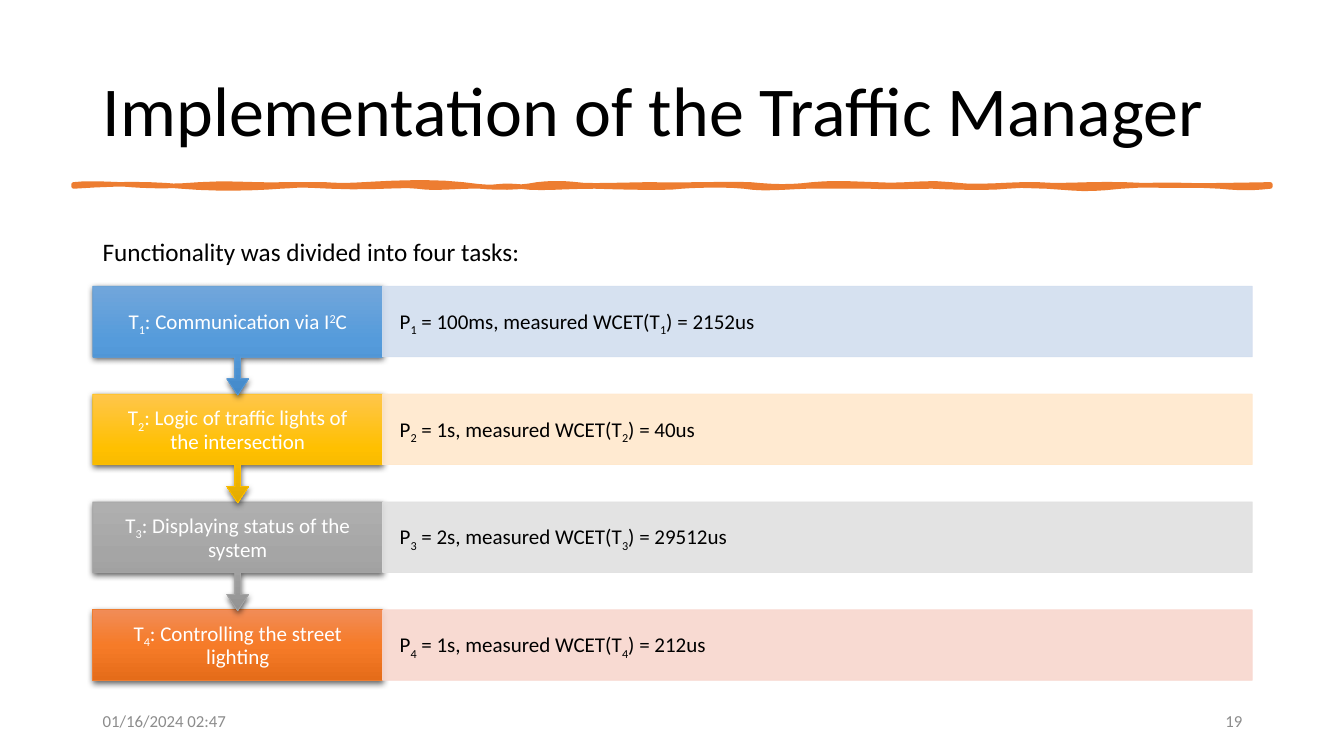
from copy import deepcopy
from pptx import Presentation
from pptx.dml.color import RGBColor
from pptx.enum.shapes import MSO_SHAPE as Shape
from pptx.enum.text import MSO_ANCHOR as Anchor, MSO_AUTO_SIZE as Fit, PP_ALIGN as Align
from pptx.oxml import parse_xml
from pptx.oxml.ns import nsdecls, qn
from pptx.util import Inches, Pt

# Content: "|_" starts a subscript, "|^" a superscript, "|" ends it
TITLE = "Implementation of the Traffic Manager"
INTRO = "Functionality was divided into four tasks:"
STAMP, PAGE = "01/16/2024 02:47", "19"
TASKS = [
    ("T|_1|: Communication via I|^2|C", "P|_1| = 100ms, measured WCET(T|_1|) = 2152us"),
    ("T|_2|: Logic of traffic lights of the intersection",
     "P|_2| = 1s, measured WCET(T|_2|) = 40us"),
    ("T|_3|: Displaying status of the system", "P|_3| = 2s, measured WCET(T|_3|) = 29512us"),
    ("T|_4|: Controlling the street lighting", "P|_4| = 1s, measured WCET(T|_4|) = 212us"),
]

# Colours
RGB = RGBColor.from_string
BLACK, WHITE, GREY, ORANGE = map(RGB, ("000000", "FFFFFF", "8C8C8C", "ED7D31"))
# Per task: three gradient stops, outline, pale bar
TONES = [tuple(map(RGB, row.split())) for row in (
    "71A6DB 559BDB 448ACA 5B9BD5 D2DEEF",
    "FFC64B FFC000 E3AB00 FFC000 FFE8CC",
    "AFAFAF A5A5A5 939393 A5A5A5 E1E1E1",
    "F18C57 F67B28 E56C19 ED7D31 F8D7CE",
)]

# Layout in inches
LEFT, WIDTH = 0.92, 11.5
STEP, BOX, TOP = 1.07, 0.7, 2.84
CALL = 1.08
LABEL = WIDTH / 4

# Hand-drawn rule: start point, then cubic curves (two controls and an end)
START = (0.73, 1.83)
CURVES = [
    (0.89, 1.81, 1.11, 1.83, 1.24, 1.83), (1.36, 1.84, 1.62, 1.86, 1.98, 1.83),
    (2.34, 1.81, 2.51, 1.84, 2.84, 1.83), (3.17, 1.83, 3.07, 1.83, 3.22, 1.83),
    (3.38, 1.84, 3.42, 1.84, 3.61, 1.83), (3.8, 1.82, 4.24, 1.79, 4.59, 1.83),
    (4.94, 1.88, 5.17, 1.86, 5.33, 1.83), (5.49, 1.81, 5.63, 1.82, 5.72, 1.83),
    (5.81, 1.85, 6.25, 1.83, 6.46, 1.83), (6.67, 1.84, 7.23, 1.82, 7.44, 1.83),
    (7.65, 1.85, 7.82, 1.86, 8.06, 1.83), (8.3, 1.81, 8.38, 1.82, 8.68, 1.83),
    (8.99, 1.85, 9.14, 1.8, 9.43, 1.83), (9.72, 1.87, 10.02, 1.82, 10.29, 1.83),
    (10.55, 1.85, 10.78, 1.82, 11.15, 1.83), (11.51, 1.85, 11.99, 1.84, 12.6, 1.83),
    (12.6, 1.84, 12.6, 1.84, 12.6, 1.85), (12.42, 1.87, 12.3, 1.87, 12.1, 1.85),
    (11.9, 1.84, 11.49, 1.82, 11.12, 1.85), (10.75, 1.89, 10.7, 1.87, 10.38, 1.85),
    (10.05, 1.84, 10.18, 1.84, 9.99, 1.85), (9.8, 1.87, 9.48, 1.86, 9.25, 1.85),
    (9.02, 1.85, 8.84, 1.86, 8.63, 1.85), (8.41, 1.85, 8.28, 1.85, 8, 1.85),
    (7.73, 1.86, 7.57, 1.88, 7.38, 1.85), (7.19, 1.83, 6.88, 1.84, 6.76, 1.85),
    (6.63, 1.87, 6.24, 1.86, 5.9, 1.85), (5.55, 1.85, 5.37, 1.88, 5.15, 1.85),
    (4.94, 1.83, 4.91, 1.87, 4.77, 1.85), (4.63, 1.84, 4.3, 1.88, 4.14, 1.85),
    (3.99, 1.83, 3.71, 1.87, 3.28, 1.85), (2.86, 1.83, 3.03, 1.84, 2.78, 1.85),
    (2.53, 1.87, 2.13, 1.88, 1.8, 1.85), (1.47, 1.82, 1.18, 1.82, 0.73, 1.85),
]


def style(run, size, color):
    font = run.font
    font.name, font.size, font.color.rgb = "Calibri", Pt(size), color


def write(frame, text, size, color, align=Align.LEFT, anchor=Anchor.MIDDLE, wrap=True):
    frame.word_wrap, frame.vertical_anchor = wrap, anchor
    para = frame.paragraphs[0]
    para.alignment = align
    for part in text.split("|"):
        run = para.add_run()
        run.text = part.lstrip("_^")
        style(run, size, color)
        shift = {"_": "-25000", "^": "30000"}.get(part[0])
        if shift:
            run.font._element.set("baseline", shift)
    return para


def pad(frame, side, edge):
    frame.margin_left = frame.margin_right = Inches(side)
    frame.margin_top = frame.margin_bottom = Inches(edge)


def note(slide, text, x, y, w, h, size, color, **kind):
    box = slide.shapes.add_textbox(*map(Inches, (x, y, w, h)))
    write(box.text_frame, text, size, color, **kind)


def block(slide, kind, x, y, w, h, edge):
    shape = slide.shapes.add_shape(kind, *map(Inches, (x, y, w, h)))
    shape.shadow.inherit = False
    shape.line.color.rgb, shape.line.width = edge, Pt(0.5)
    return shape


def blend(shape, colors):
    shape.fill.gradient()
    shape.fill.gradient_angle = 270
    stops = shape._element.spPr.find(qn("a:gradFill")).find(qn("a:gsLst"))
    stops.insert(1, deepcopy(stops[0]))
    for stop, place, color in zip(shape.fill.gradient_stops, (0, 0.5, 1), colors):
        stop.position, stop.color.rgb = place, color


def shade(shape):
    shape._element.spPr.find(qn("a:effectLst")).append(parse_xml(
        f'<a:outerShdw {nsdecls("a")} blurRad="57150" dist="19050" dir="5400000" '
        'algn="ctr" rotWithShape="0"><a:srgbClr val="000000">'
        '<a:alpha val="63000"/></a:srgbClr></a:outerShdw>'))


def fade(shape):
    for color in shape._element.spPr.iter(qn("a:srgbClr")):
        color.append(parse_xml(f'<a:alpha {nsdecls("a")} val="90000"/>'))


def trace(start, curves, steps=6):
    points, (x, y) = [], start
    for a, b, c, d, e, f in curves:
        for i in range(1, steps + 1):
            t = i / steps
            u = 1 - t
            k = (u ** 3, 3 * u * u * t, 3 * u * t * t, t ** 3)
            points.append(tuple(Inches(sum(m * v for m, v in zip(k, axis)))
                                for axis in ((x, a, c, e), (y, b, d, f))))
        x, y = e, f
    return points


def main():
    deck = Presentation()
    deck.slide_width, deck.slide_height = Inches(13.33), Inches(7.5)
    slide = deck.slides.add_slide(deck.slide_layouts[5])

    # Title
    title = slide.shapes.title
    title.left, title.top, title.width, title.height = map(Inches, (LEFT, 0.4, WIDTH, 1.45))
    para = write(title.text_frame, TITLE, 50, BLACK)
    para.line_spacing = 0.9
    title.text_frame.auto_size = Fit.NONE

    # Rule under the title
    pen = slide.shapes.build_freeform(*map(Inches, START))
    pen.add_line_segments(trace(START, CURVES), close=True)
    rule = pen.convert_to_shape()
    rule.shadow.inherit = False
    rule.fill.solid()
    rule.fill.fore_color.rgb = rule.line.color.rgb = ORANGE
    rule.line.width = Pt(3.25)

    # Footer
    note(slide, STAMP, LEFT, 6.95, 3, 0.4, 12, GREY)
    note(slide, PAGE, LEFT + WIDTH - 3, 6.95, 3, 0.4, 12, GREY, align=Align.RIGHT)

    # Task rows, last one first so that each arrow overlaps the next box
    last = len(TASKS) - 1
    for row in range(last, -1, -1):
        (name, time), (*stops, edge, pale) = TASKS[row], TONES[row]
        y = TOP + row * STEP
        if row == last:
            step = block(slide, Shape.RECTANGLE, LEFT, y, LABEL, BOX, edge)
        else:
            step = block(slide, Shape.DOWN_ARROW_CALLOUT, LEFT, y, LABEL, CALL, edge)
            for i, share in enumerate((0.05, 0.1, 0.15, 0.65)):
                step.adjustments[i] = share
        blend(step, stops)
        shade(step)
        pad(step.text_frame, 0.2, 0.12)
        write(step.text_frame, name, 15, WHITE, Align.CENTER).line_spacing = 0.9

        bar = block(slide, Shape.RECTANGLE, LEFT + LABEL, y, WIDTH - LABEL, BOX, pale)
        bar.fill.solid()
        bar.fill.fore_color.rgb = pale
        fade(bar)
        pad(bar.text_frame, 0.17, 0.21)
        write(bar.text_frame, time, 15, BLACK).line_spacing = 0.9

    # Lead-in
    note(slide, INTRO, LEFT, 2.29, 4.38, 0.71, 18, BLACK, anchor=Anchor.TOP, wrap=False)
    deck.save("out.pptx")


if __name__ == "__main__":
    main()
